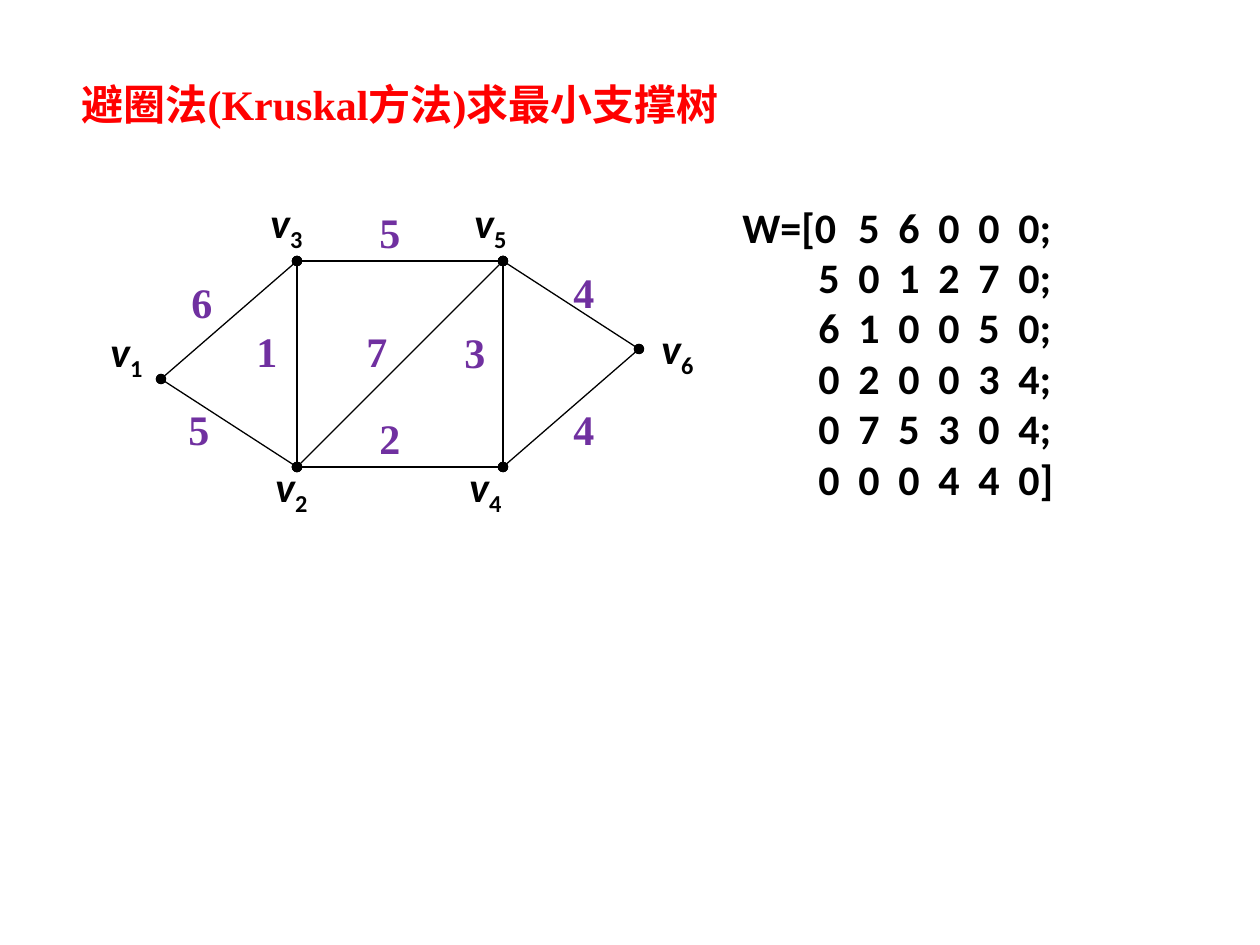
from lxml import etree
from pptx import Presentation
from pptx.dml.color import RGBColor
from pptx.enum import shapes, text
from pptx.oxml.ns import qn
from pptx.util import Pt

PX = 914400 / 126
THEME = {
    "ink": RGBColor(0, 0, 0),
    "weight": RGBColor(0x70, 0x30, 0xA0),
    "title": RGBColor(0xFF, 0, 0),
    "sans": "Calibri",
    "serif": "Times New Roman",
    "size": Pt(24),
    "edge": Pt(0.75),
}


def px(*values):
    return [round(v * PX) for v in values]


def add_run(p, content, name, color, **extra):
    r = p.add_run()
    r.text = content
    fmt = {"name": name, "size": THEME["size"], "bold": True, **extra}
    for key, value in fmt.items():
        setattr(r.font, key, value)
    r.font.color.rgb = THEME[color]
    return r


prs = Presentation()
prs.slide_width, prs.slide_height = px(1260, 945)
s = prs.slides.add_slide(prs.slide_layouts[5])

title = s.shapes.title
title.left, title.top, title.width, title.height = px(69, 67, 898, 69)
tf = title.text_frame
for key, value in {
    "word_wrap": True,
    "vertical_anchor": text.MSO_ANCHOR.TOP,
    "auto_size": text.MSO_AUTO_SIZE.SHAPE_TO_FIT_TEXT,
}.items():
    setattr(tf, key, value)
p = tf.paragraphs[0]
p.alignment = text.PP_ALIGN.LEFT
p.line_spacing = 1.1
add_run(p, "避圈法(Kruskal方法)求最小支撑树", THEME["serif"], "title")

nodes = {1: (161, 379), 2: (297, 467), 3: (297, 261),
         4: (503, 467), 5: (503, 261), 6: (639, 349)}
edges = [(2, 4), (3, 5), (3, 2), (4, 5), (5, 6), (6, 4), (2, 1), (1, 3), (2, 5)]
graph = s.shapes.add_group_shape()
for start, end in edges:
    edge = graph.shapes.add_connector(
        shapes.MSO_CONNECTOR.STRAIGHT, *px(*nodes[start], *nodes[end]))
    edge.line.color.rgb = THEME["ink"]
    edge.line.width = THEME["edge"]
    ln = edge.line._get_or_add_ln()
    for tag in ("a:headEnd", "a:tailEnd"):
        etree.SubElement(ln, qn(tag)).set("type", "oval")
    etree.SubElement(edge._element.spPr, qn("a:effectLst"))

labels = [("v", "1", 98, 319), ("v", "2", 263, 454), ("v", "3", 258, 190),
          ("v", "4", 457, 454), ("v", "5", 462, 190), ("v", "6", 649, 316),
          ("", "6", 179, 270), ("", "5", 176, 397), ("", "1", 244, 319),
          ("", "5", 367, 200), ("", "7", 354, 319), ("", "2", 367, 406),
          ("", "3", 452, 320), ("", "4", 561, 260), ("", "4", 561, 397)]
for letter, digit, left, top in labels:
    sp = graph.shapes.add_textbox(*px(left, top, 102, 88))
    sp.text_frame.word_wrap = True
    p = sp.text_frame.paragraphs[0]
    p.alignment = text.PP_ALIGN.JUSTIFY
    if letter:
        add_run(p, letter, THEME["sans"], "ink", italic=True)
        r = add_run(p, digit, THEME["sans"], "ink", italic=False)
        r.font._element.set("baseline", "-25000")
    else:
        add_run(p, digit, THEME["serif"], "weight")

rows = ["W=[0 5 6 0 0 0;", "5 0 1 2 7 0;", "6 1 0 0 5 0;",
        "0 2 0 0 3 4;", "0 7 5 3 0 4;", "0 0 0 4 4 0]"]
matrix = s.shapes.add_textbox(*px(730, 195, 345, 318))
tf = matrix.text_frame
tf.word_wrap = True
tf.auto_size = text.MSO_AUTO_SIZE.SHAPE_TO_FIT_TEXT
for i, row in enumerate(rows):
    p = tf.paragraphs[0] if i == 0 else tf.add_paragraph()
    add_run(p, ("\t" if i else "") + row.replace(" ", "\t"), THEME["sans"], "ink")
    tabs = etree.SubElement(p._p.get_or_add_pPr(), qn("a:tabLst"))
    for stop in px(*range(76, 277, 40)):
        tab = etree.SubElement(tabs, qn("a:tab"))
        tab.set("pos", str(stop))
        tab.set("algn", "l")

prs.save("out.pptx")
